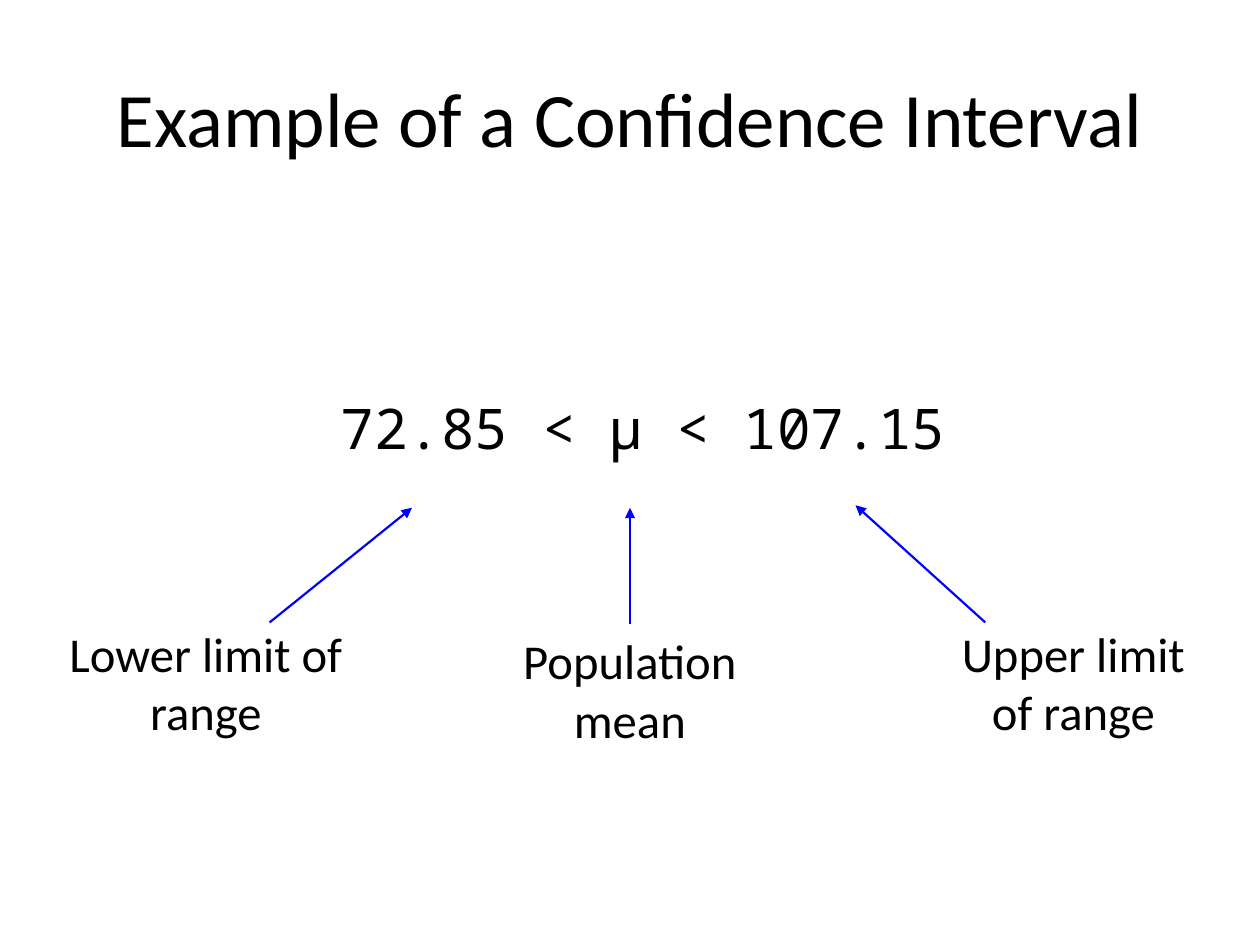
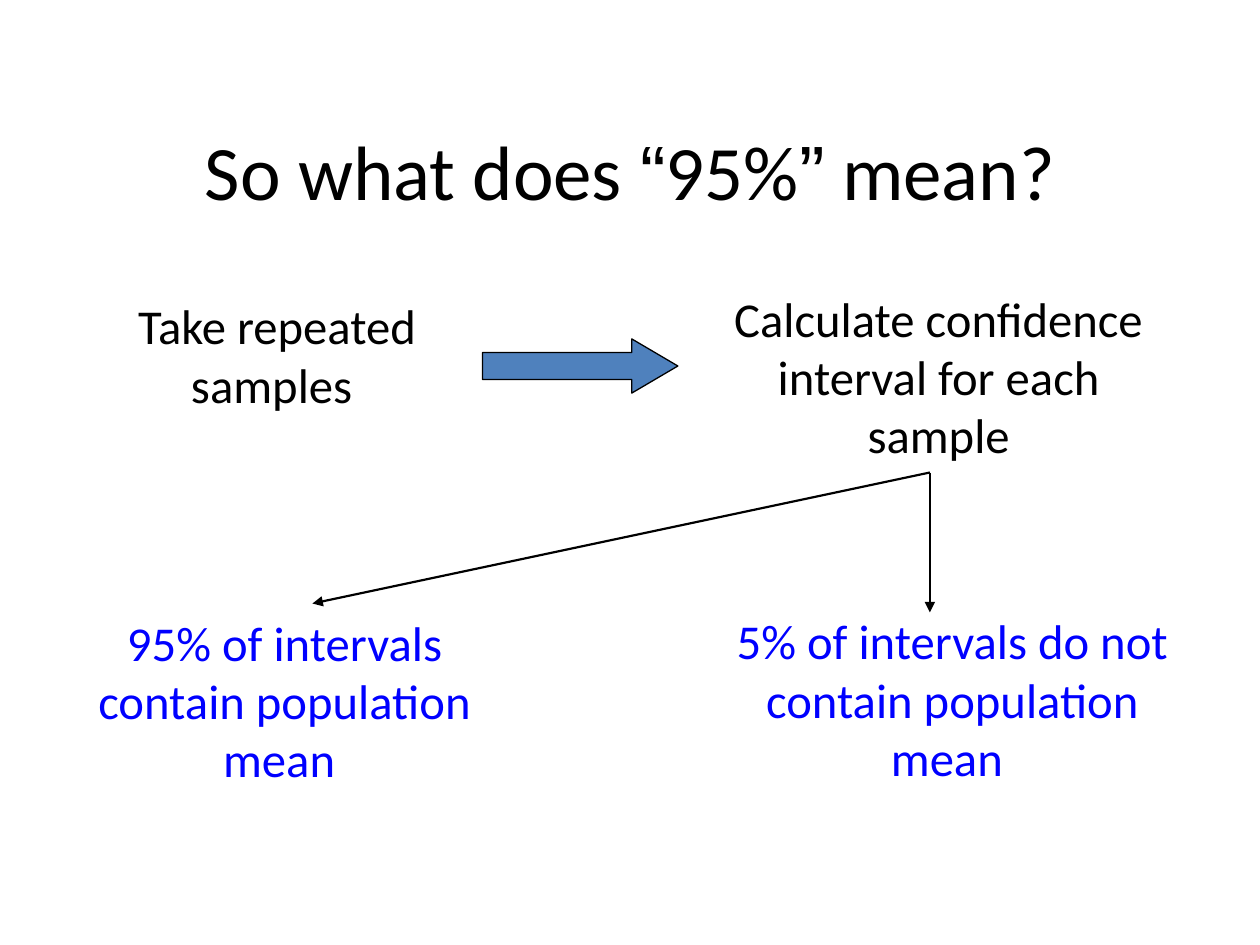
from dataclasses import dataclass
from itertools import groupby

from lxml import etree
from pptx import Presentation
from pptx import util as u
from pptx.dml.color import RGBColor
from pptx.enum import shapes, text
from pptx.oxml.ns import qn

# Shared grid: 20 columns by 15 rows on a 10 x 7.5 inch slide
WIDE, HIGH = u.Inches(10), u.Inches(7.5)
COL, ROW = WIDE / 20, HIGH / 15

# Shared colours, fonts and sizes
BLACK, BLUE, STEEL = "000000", "0000FF", "4F81BD"
SANS, MONO, QUOTE = "Calibri", "Noto Sans Mono", "Arial"
HEAD, MATH, NOTE = 44, 32, 27.8
LOOSE, TIGHT = (0.14, 0.07), (0.09, 0.04)


@dataclass
class Box:
    """A place on the grid, in columns and rows."""
    x: float
    y: float
    w: float
    h: float


@dataclass
class Label:
    words: str
    box: Box
    color: str = BLACK
    pad: tuple[float, float] = TIGHT


@dataclass
class Arrow:
    start: tuple[float, float]
    end: tuple[float, float]
    color: str = BLACK


def paint(color: str) -> RGBColor:
    return RGBColor.from_string(color)


def apply(item, form: dict) -> None:
    for name, value in form.items():
        setattr(item, name, value)


def spot(box: Box) -> dict:
    return {"left": round(box.x * COL), "top": round(box.y * ROW),
            "width": round(box.w * COL), "height": round(box.h * ROW)}


def write(shape, words: str, size: float, font: str = SANS, color: str = BLACK,
          anchor=text.MSO_ANCHOR.TOP) -> None:
    """Fill a shape with one centred paragraph; curly quotes get their own font."""
    frame = shape.text_frame
    apply(frame, {"word_wrap": True, "vertical_anchor": anchor,
                  "auto_size": text.MSO_AUTO_SIZE.NONE})
    para = frame.paragraphs[0]
    apply(para, {"alignment": text.PP_ALIGN.CENTER, "space_before": u.Pt(0)})
    for line, chars in enumerate(words.split("\n")):
        if line:
            para.add_line_break()
        for quoted, group in groupby(chars, lambda c: c in "“”"):
            run = para.add_run()
            run.text = "".join(group)
            apply(run.font, {"name": QUOTE if quoted else font, "size": u.Pt(size)})
            run.font.color.rgb = paint(color)


def start(deck, layout: int, title: str, box: Box):
    slide = deck.slides.add_slide(deck.slide_layouts[layout])
    apply(slide.shapes.title, spot(box))
    write(slide.shapes.title, title, HEAD, anchor=text.MSO_ANCHOR.MIDDLE)
    return slide


def put_label(slide, label: Label) -> None:
    shape = slide.shapes.add_textbox(**spot(label.box))
    write(shape, label.words, NOTE, color=label.color)
    side, edge = map(u.Inches, label.pad)
    apply(shape.text_frame, {"margin_left": side, "margin_right": side,
                             "margin_top": edge, "margin_bottom": edge})


def put_arrow(slide, arrow: Arrow) -> None:
    ends = [round(n * unit) for point in (arrow.start, arrow.end)
            for n, unit in zip(point, (COL, ROW))]
    link = slide.shapes.add_connector(shapes.MSO_CONNECTOR.STRAIGHT, *ends)
    link.line.color.rgb = paint(arrow.color)
    link.line.width = u.Pt(1.25)
    props = link._element.spPr
    etree.SubElement(props.find(qn("a:ln")), qn("a:tailEnd"), type="triangle")
    etree.SubElement(props, qn("a:effectLst"))


def show_range(deck) -> None:
    slide = start(deck, 1, "Example of a Confidence Interval", Box(1, 0.6, 18, 2.5))

    # Interval formula
    body = slide.placeholders[1]
    apply(body, spot(Box(2.84, 6.14, 14.74, 1.36)))
    props = body.text_frame.paragraphs[0]._p.get_or_add_pPr()
    etree.SubElement(props, qn("a:buNone"))
    write(body, "72.85 < μ < 107.15", MATH, MONO)

    # Names of the three terms
    for words, x, y, w in (("Lower limit of range", 0, 9.76, 6.54),
                           ("Population mean", 7.44, 9.88, 5.12),
                           ("Upper limit\nof range", 14.08, 9.76, 5.92)):
        put_label(slide, Label(words, Box(x, y, w, 2.16), pad=LOOSE))

    # Pointers from names to terms
    for tail, tip in (((4.28, 9.88), (6.54, 8.06)),
                      ((10, 9.9), (10, 8.06)),
                      ((15.64, 9.88), (13.58, 8.02))):
        put_arrow(slide, Arrow(tail, tip, BLUE))


def show_meaning(deck) -> None:
    slide = start(deck, 5, "So what does “95%” mean?", Box(1.5, 1.58, 17, 2.22))

    # Steps and outcomes
    for label in (
        Label("Take repeated samples ", Box(1.3, 4.62, 6.2, 2.4)),
        Label("Calculate confidence interval for each sample",
              Box(11.02, 4.5, 7.76, 3)),
        Label("95% of intervals contain population mean ",
              Box(0.86, 9.64, 7.32, 3.66), BLUE),
        Label("5% of intervals do not contain population mean ",
              Box(11.46, 9.62, 7.32, 3.66), BLUE),
    ):
        put_label(slide, label)

    # Block arrow between the steps
    block = slide.shapes.add_shape(shapes.MSO_SHAPE.RIGHT_ARROW,
                                   **spot(Box(7.66, 5.38, 3.1, 0.86)))
    block.adjustments[0], block.adjustments[1] = 0.5, 0.85
    block.shadow.inherit = False
    block.fill.solid()
    block.fill.fore_color.rgb = paint(STEEL)
    block.line.color.rgb = paint(BLACK)
    block.line.width = u.Pt(0.75)

    # Fork to the two outcomes
    fork = (14.76, 7.5)
    for tip in ((4.96, 9.58), (14.76, 9.72)):
        put_arrow(slide, Arrow(fork, tip))


def main() -> None:
    deck = Presentation()
    apply(deck, {"slide_width": WIDE, "slide_height": HIGH})
    show_range(deck)
    show_meaning(deck)
    deck.save("out.pptx")


if __name__ == "__main__":
    main()
